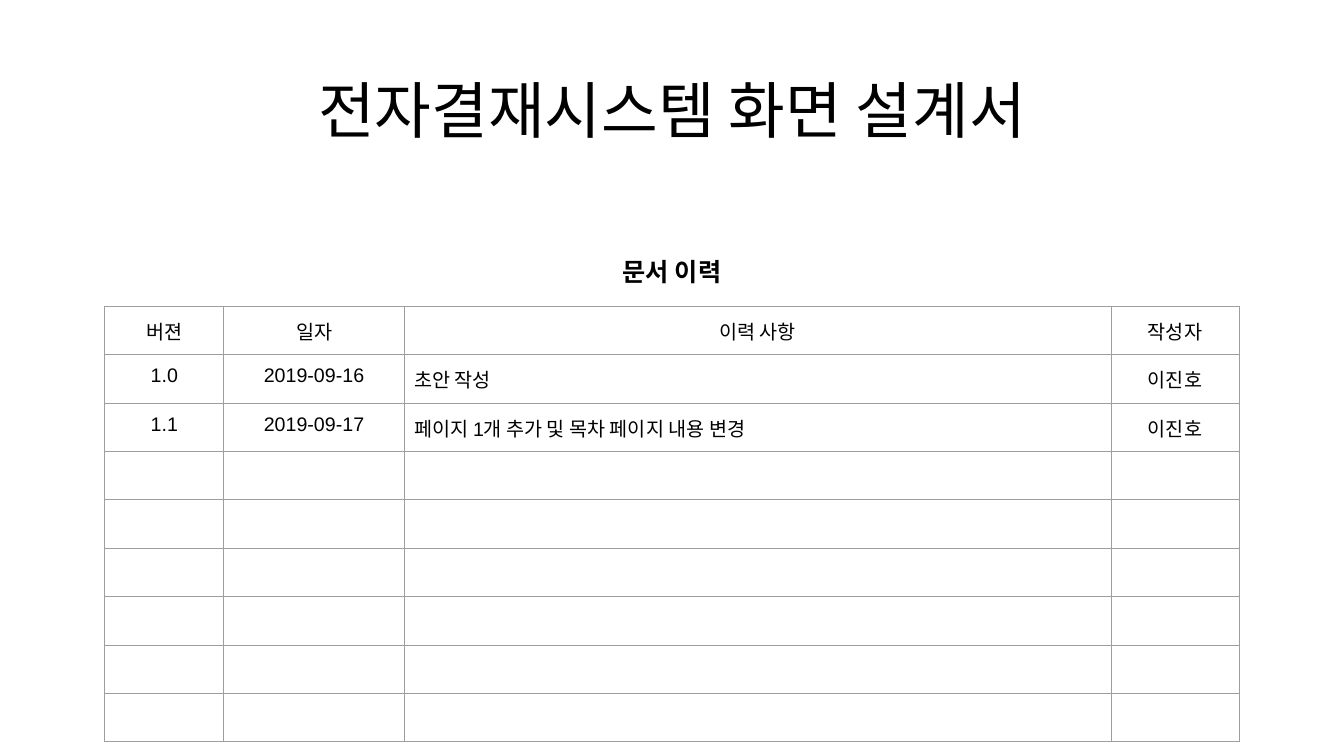
import pptx
import pptx.dml.color
import pptx.enum.text
import pptx.oxml
import pptx.oxml.ns
import pptx.util
from lxml import etree

# Content
TITLE = "전자결재시스템 화면 설계서"
HISTORY_HEADING = "문서 이력"
HISTORY = [
    ("버젼", "일자", "이력 사항", "작성자"),
    ("1.0", "2019-09-16", "초안 작성", "이진호"),
    ("1.1", "2019-09-17", "페이지 1개 추가 및 목차 페이지 내용 변경", "이진호"),
]
EMPTY_ROWS = 6
NOTE_COLUMN = 2

# Format
BLACK = pptx.dml.color.RGBColor(0x00, 0x00, 0x00)
GRID_GRAY = pptx.dml.color.RGBColor(0x9E, 0x9E, 0x9E)
KOREAN_FONT = "Noto Sans CJK KR"
LATIN_FONT = "Arial"
CENTER = pptx.enum.text.PP_ALIGN.CENTER
LEFT = pptx.enum.text.PP_ALIGN.LEFT
MIDDLE = pptx.enum.text.MSO_ANCHOR.MIDDLE

# Layout in inches
SLIDE_WIDTH, SLIDE_HEIGHT = 13.33, 7.5
COLUMN_WIDTHS = (1.18, 1.79, 7.01, 1.27)
ROW_HEIGHT = 0.48
TABLE_WIDTH = sum(COLUMN_WIDTHS)
TABLE_LEFT = (SLIDE_WIDTH - TABLE_WIDTH) / 2
TABLE_TOP = 3.04
inches = pptx.util.Inches


def write_text(frame, text, size, font=KOREAN_FONT, bold=False, align=CENTER,
               spacing=None, inset=0.1):
    frame.word_wrap = True
    frame.margin_top = frame.margin_bottom = inches(inset)
    para = frame.paragraphs[0]
    para.alignment = align
    para.line_spacing = spacing
    span = para.add_run()
    span.text = text
    span.font.size = pptx.util.Pt(size)
    span.font.name = font
    span.font.bold = bold
    span.font.color.rgb = BLACK
    east_asian = etree.SubElement(span.font._element, pptx.oxml.ns.qn("a:ea"))
    east_asian.set("typeface", KOREAN_FONT)


def add_label(page, text, left, top, width, height, **style):
    box = page.shapes.add_textbox(*map(inches, (left, top, width, height)))
    write_text(box.text_frame, text, **style)
    box.text_frame.vertical_anchor = MIDDLE


def draw_borders(cell):
    properties = cell._tc.get_or_add_tcPr()
    for side in ("lnL", "lnR", "lnT", "lnB"):
        properties.append(pptx.oxml.parse_xml(
            f'<a:{side} {pptx.oxml.ns.nsdecls("a")} w="{pptx.util.Pt(0.75)}">'
            f'<a:solidFill><a:srgbClr val="{GRID_GRAY}"/></a:solidFill></a:{side}>'))


def add_history(page):
    row_count = len(HISTORY) + EMPTY_ROWS
    frame = page.shapes.add_table(
        row_count, len(COLUMN_WIDTHS), inches(TABLE_LEFT), inches(TABLE_TOP),
        inches(TABLE_WIDTH), inches(ROW_HEIGHT * row_count))
    table = frame.table
    table.first_row = table.horz_banding = False
    for column, width in zip(table.columns, COLUMN_WIDTHS):
        column.width = inches(width)
    for row in table.rows:
        row.height = inches(ROW_HEIGHT)
    for cell in table.iter_cells():
        draw_borders(cell)
        cell.fill.background()
    for row_index, record in enumerate(HISTORY):
        for column_index, text in enumerate(record):
            cell = table.cell(row_index, column_index)
            is_note = row_index > 0 and column_index == NOTE_COLUMN
            write_text(cell.text_frame, text, 14, font=LATIN_FONT,
                       align=LEFT if is_note else CENTER)
            cell.margin_top = cell.margin_bottom = inches(0.1)


def main():
    deck = pptx.Presentation()
    deck.slide_width = inches(SLIDE_WIDTH)
    deck.slide_height = inches(SLIDE_HEIGHT)
    page = deck.slides.add_slide(deck.slide_layouts[6])

    # Title, history table and its heading
    add_label(page, TITLE, 0.92, 0.4, 11.5, 1.45, size=44, spacing=0.9, inset=0.05)
    add_history(page)
    add_label(page, HISTORY_HEADING, TABLE_LEFT, 2.47, TABLE_WIDTH, 0.44,
              size=18, bold=True)

    deck.save("out.pptx")


if __name__ == "__main__":
    main()
